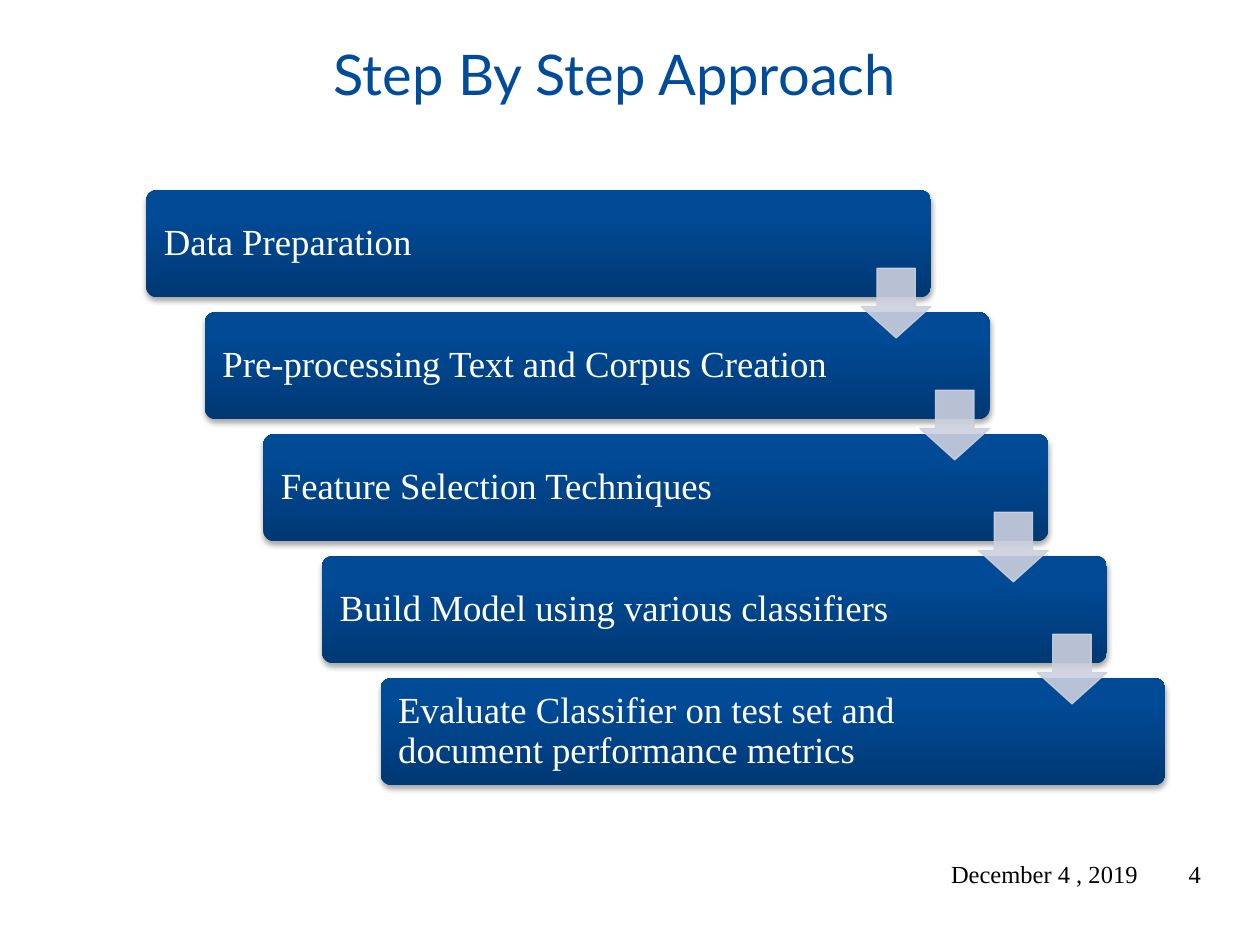
from dataclasses import dataclass

from lxml import etree
from pptx import Presentation
from pptx.dml.color import RGBColor
from pptx.enum.shapes import MSO_SHAPE
from pptx.enum.text import MSO_ANCHOR, PP_ALIGN
from pptx.oxml import parse_xml
from pptx.oxml.ns import nsdecls, qn
from pptx.util import Pt

ROUNDED, DOWN_ARROW = MSO_SHAPE.ROUNDED_RECTANGLE, MSO_SHAPE.DOWN_ARROW
LEFT, RIGHT = PP_ALIGN.LEFT, PP_ALIGN.RIGHT
TOP, MIDDLE = MSO_ANCHOR.TOP, MSO_ANCHOR.MIDDLE

STEPS = [
    "Data Preparation",
    "Pre-processing Text and Corpus Creation",
    "Feature Selection Techniques",
    "Build Model using various classifiers",
    "Evaluate Classifier on test set and document performance metrics",
]
CARD_LEFT, CARD_TOP = 83.5, 108.7
CARD_WIDTH, CARD_HEIGHT = 448.5, 61.2
STEP_RIGHT, STEP_DOWN = 33.5, 69.7
ARROW_SIZE, ARROW_DROP = 39.8, 44.6


@dataclass(frozen=True)
class Theme:
    title_color: str = "004C9B"
    card_text: str = "FFFFFF"
    footer_text: str = "000000"
    arrow: str = "CCD0DE"
    shadow: str = "000000"
    card_stops: tuple = ((0, "003974"), (80, "004A96"), (100, "004A97"))
    title_font: str = "Lato"
    body_font: str = "Times New Roman"
    title_size: int = 32
    card_size: int = 21
    footer_size: int = 14


class SlideBuilder:
    def __init__(self, slide, theme):
        self.slide = slide
        self.theme = theme

    def set_text(self, frame, text, font, size, color, align=LEFT, anchor=MIDDLE):
        frame.word_wrap = True
        frame.vertical_anchor = anchor
        para = frame.paragraphs[0]
        para.text = text
        para.alignment = align
        para.font.name = font
        para.font.size = Pt(size)
        para.font.color.rgb = RGBColor.from_string(color)
        return para

    def text_box(self, left, top, width, height):
        box = self.slide.shapes.add_textbox(Pt(left), Pt(top), Pt(width), Pt(height))
        return box.text_frame

    def title(self, text):
        theme = self.theme
        frame = self.text_box(28.8, 31, 665.3, 84.2)
        frame.margin_left = Pt(162)
        para = self.set_text(frame, text, theme.title_font, theme.title_size,
                             theme.title_color, anchor=TOP)
        para.line_spacing = Pt(26.6)

    def footer(self, text, left, width):
        theme = self.theme
        frame = self.text_box(left, 484.6, width, 28.8)
        self.set_text(frame, text, theme.body_font, theme.footer_size,
                      theme.footer_text, align=RIGHT)

    def shape(self, kind, left, top, width, height):
        shape = self.slide.shapes.add_shape(kind, Pt(left), Pt(top), Pt(width), Pt(height))
        shape.shadow.inherit = False
        return shape

    def card(self, text, left, top):
        theme = self.theme
        card = self.shape(ROUNDED, left, top, CARD_WIDTH, CARD_HEIGHT)
        card.adjustments[0] = 0.1
        self.shade(card)
        card.line.fill.background()
        frame = card.text_frame
        frame.margin_left, frame.margin_right = Pt(8.3), Pt(82)
        para = self.set_text(frame, text, theme.body_font, theme.card_size, theme.card_text)
        para.line_spacing = 0.9

    def shade(self, card):
        """Give the card its vertical gradient and soft drop shadow."""
        stops = "".join(
            f'<a:gs pos="{place * 1000}"><a:srgbClr val="{color}"/></a:gs>'
            for place, color in self.theme.card_stops)
        properties = card.element.spPr
        properties.find(qn("a:prstGeom")).addnext(parse_xml(
            f'<a:gradFill {nsdecls("a")} rotWithShape="1"><a:gsLst>{stops}</a:gsLst>'
            '<a:lin ang="16200000" scaled="0"/></a:gradFill>'))
        properties.find(qn("a:effectLst")).append(parse_xml(
            f'<a:outerShdw {nsdecls("a")} blurRad="{Pt(3.1)}" dist="{Pt(1.8)}" '
            f'dir="5400000" rotWithShape="0"><a:srgbClr val="{self.theme.shadow}">'
            '<a:alpha val="35000"/></a:srgbClr></a:outerShdw>'))

    def arrow(self, left, top):
        arrow = self.shape(DOWN_ARROW, left, top, ARROW_SIZE, ARROW_SIZE)
        arrow.adjustments[0], arrow.adjustments[1] = 0.55, 0.45
        arrow.line.width = Pt(0.75)
        for fill in (arrow.fill, arrow.line.fill):
            fill.solid()
            fill.fore_color.rgb = RGBColor.from_string(self.theme.arrow)
        for color in arrow.element.spPr.iter(qn("a:srgbClr")):
            etree.SubElement(color, qn("a:alpha"), val="90000")


def main():
    deck = Presentation()
    deck.slide_width, deck.slide_height = Pt(720), Pt(540)
    builder = SlideBuilder(deck.slides.add_slide(deck.slide_layouts[6]), Theme())

    builder.title("Step By Step Approach")
    builder.footer("December 4 , 2019", 462.2, 195.1)
    builder.footer("4", 641.5, 51.8)

    corners = [(CARD_LEFT + i * STEP_RIGHT, CARD_TOP + i * STEP_DOWN)
               for i in range(len(STEPS))]
    for text, (left, top) in zip(STEPS, corners):
        builder.card(text, left, top)
    for left, top in corners[:-1]:
        builder.arrow(left + CARD_WIDTH - ARROW_SIZE, top + ARROW_DROP)

    deck.save("out.pptx")


if __name__ == "__main__":
    main()
